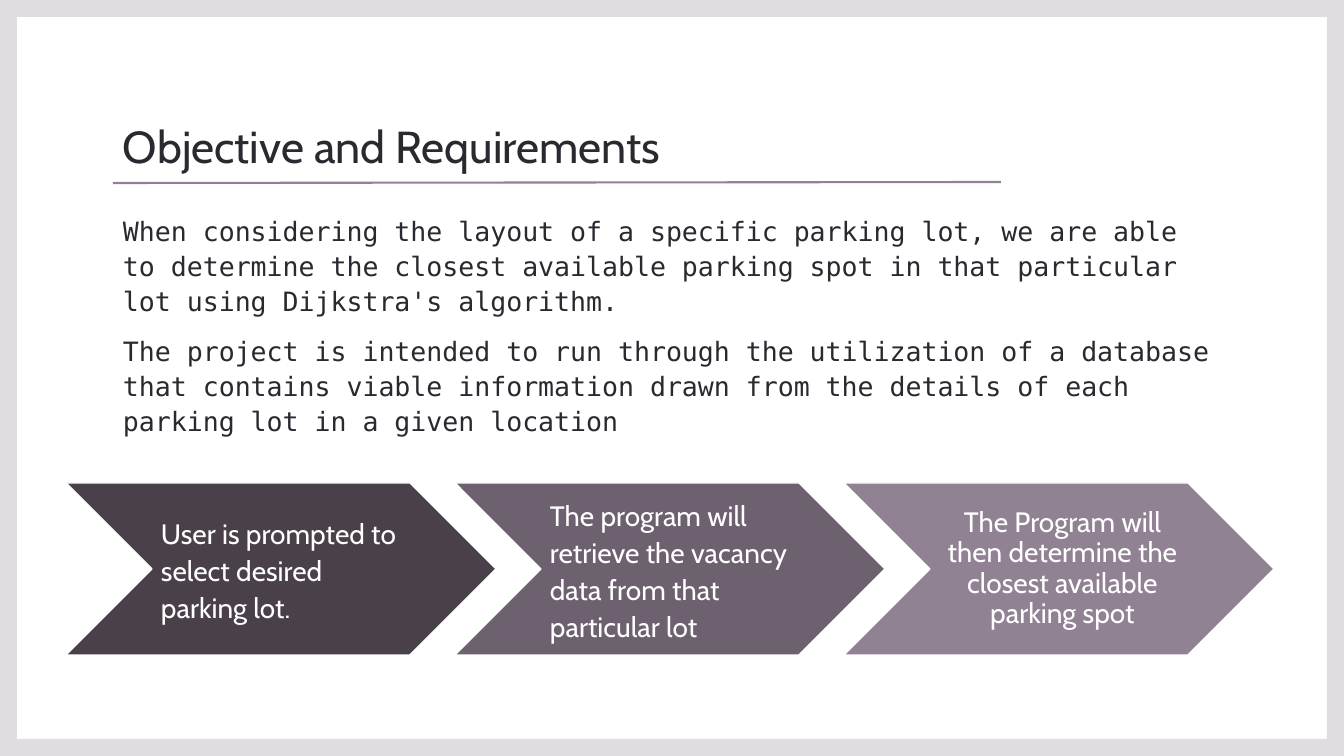
from lxml import etree
from pptx import Presentation
from pptx.dml.color import RGBColor
from pptx.enum.shapes import MSO_CONNECTOR, MSO_SHAPE
from pptx.enum.text import MSO_ANCHOR, PP_ALIGN
from pptx.oxml.ns import qn
from pptx.util import Pt

LEFT, CENTER = PP_ALIGN.LEFT, PP_ALIGN.CENTER
TOP, MIDDLE = MSO_ANCHOR.TOP, MSO_ANCHOR.MIDDLE

WHITE = RGBColor(0xFF, 0xFF, 0xFF)
INK = RGBColor(0x2C, 0x28, 0x30)
PALE = RGBColor(0xE0, 0xDC, 0xE1)
DARK = RGBColor(0x49, 0x40, 0x4A)
MEDIUM = RGBColor(0x6D, 0x60, 0x6F)
LIGHT = RGBColor(0x90, 0x81, 0x93)

HEADING_FONT = "Cabin"
BODY_FONT = "DejaVu Sans Mono"

# Content
TITLE = "Objective and Requirements"
BODY = [
    "When considering the layout of a specific parking lot, we are able to determine "
    "the closest available parking spot in that particular lot using Dijkstra's algorithm.",
    "The project is intended to run through the utilization of a database that contains "
    "viable information drawn from the details of each parking lot in a given location",
]
STEPS = [  # text, fill, alignment, line spacing
    ("User is prompted to select desired parking lot.", DARK, LEFT, 1.1),
    ("The program will retrieve the vacancy data from that particular lot", MEDIUM, LEFT, 1.1),
    ("The Program will then determine the closest available parking spot", LIGHT, CENTER, 0.9),
]

# Layout in px
EMU_PER_PX = 914400 / 100.8
PAGE_WIDTH, PAGE_HEIGHT = 1344, 756
FRAME_THICKNESS = 17
MARGIN, TEXT_WIDTH = 113, 1117
STEP_LEFT, STEP_TOP, STEP_WIDTH, STEP_HEIGHT = 66, 483, 430, 172
STEP_PITCH = 389
LABEL_OFFSET, LABEL_WIDTH = 86, 259


def px(length):
    return round(length * EMU_PER_PX)


def place(shape, left, top, width, height):
    shape.left, shape.top = px(left), px(top)
    shape.width, shape.height = px(width), px(height)


def write(shape, paragraphs, font=HEADING_FONT, size=20, color=WHITE, align=LEFT,
          anchor=MIDDLE, spacing=1.1, before=0, insets=(10, 5, 10, 5)):
    frame = shape.text_frame
    frame.word_wrap = True
    frame.vertical_anchor = anchor
    (frame.margin_left, frame.margin_top,
     frame.margin_right, frame.margin_bottom) = map(px, insets)
    for index, text in enumerate(paragraphs):
        para = frame.add_paragraph() if index else frame.paragraphs[0]
        para.alignment = align
        para.line_spacing = spacing
        para.space_before = Pt(before)
        span = para.add_run()
        span.text = text
        span.font.name = font
        span.font.size = Pt(size)
        span.font.color.rgb = color


def add_shape(page, kind, left, top, width, height, fill):
    shape = page.shapes.add_shape(kind, *map(px, (left, top, width, height)))
    shape.shadow.inherit = False
    shape.fill.solid()
    shape.fill.fore_color.rgb = fill
    return shape


def add_text(page, left, top, width, height, paragraphs, **style):
    box = page.shapes.add_textbox(*map(px, (left, top, width, height)))
    write(box, paragraphs, **style)


def main():
    deck = Presentation()
    deck.slide_width, deck.slide_height = px(PAGE_WIDTH), px(PAGE_HEIGHT)
    page = deck.slides.add_slide(deck.slide_layouts[5])
    page.background.fill.solid()
    page.background.fill.fore_color.rgb = WHITE

    # Border around the page
    border = add_shape(page, MSO_SHAPE.FRAME, 0, 0, PAGE_WIDTH, PAGE_HEIGHT, PALE)
    border.adjustments[0] = FRAME_THICKNESS / PAGE_HEIGHT
    border.line.fill.background()

    # Process steps
    for index, (text, fill, align, spacing) in enumerate(STEPS):
        left = STEP_LEFT + index * STEP_PITCH
        chevron = add_shape(page, MSO_SHAPE.CHEVRON, left, STEP_TOP,
                            STEP_WIDTH, STEP_HEIGHT, fill)
        chevron.line.color.rgb = WHITE
        chevron.line.width = Pt(1)
        add_text(page, left + LABEL_OFFSET, STEP_TOP, LABEL_WIDTH, STEP_HEIGHT, [text],
                 align=align, spacing=spacing, insets=(9, 3, 3, 3))

    # Title and body
    title = page.shapes.title
    place(title, MARGIN, 72, TEXT_WIDTH, 142)
    write(title, [TITLE], size=32, color=INK)
    add_text(page, MARGIN, 207, TEXT_WIDTH, 253, BODY, font=BODY_FONT, size=19,
             color=INK, anchor=TOP, before=10)

    # Rule under the title
    rule = page.shapes.add_connector(MSO_CONNECTOR.STRAIGHT,
                                     *map(px, (MARGIN, 183, 1001, 182)))
    rule.line.color.rgb = LIGHT
    rule.line.width = Pt(1.5)
    etree.SubElement(rule._element.spPr, qn("a:effectLst"))

    deck.save("out.pptx")


if __name__ == "__main__":
    main()
